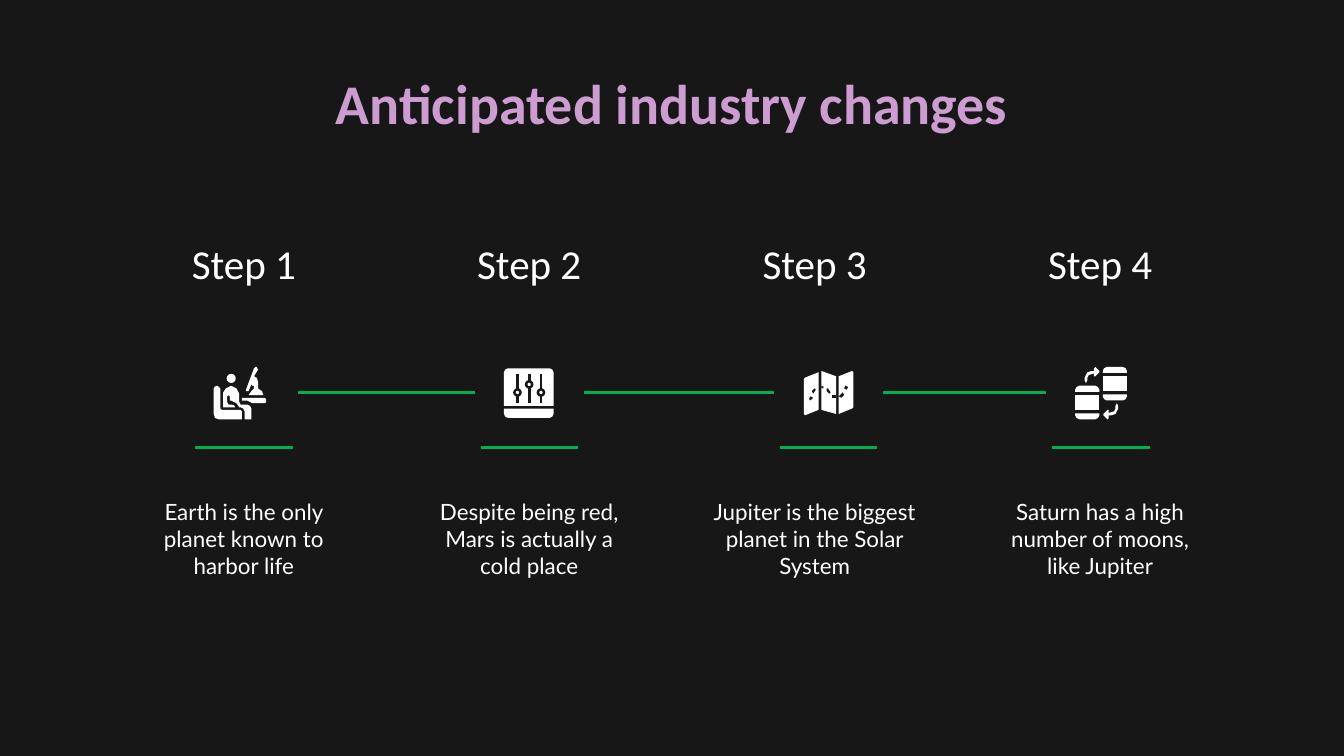
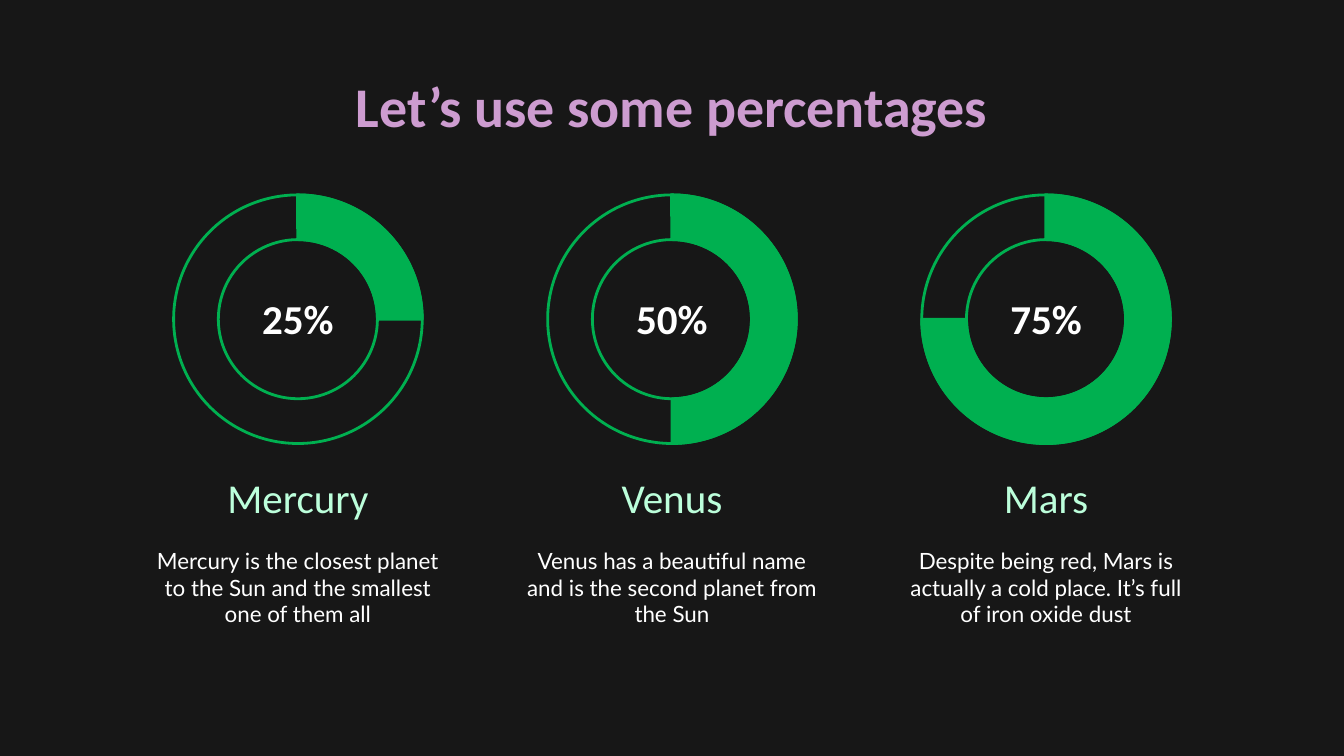
from lxml.etree import SubElement
from pptx import Presentation
from pptx.dml.color import RGBColor
from pptx.enum.shapes import MSO_CONNECTOR, MSO_SHAPE
from pptx.enum.text import MSO_ANCHOR, MSO_AUTO_SIZE, PP_ALIGN
from pptx.oxml.ns import qn
from pptx.util import Pt

COLORS = {
    "background": "171717",
    "white": "FFFFFF",
    "green": "00B050",
    "lilac": "CD9CD0",
    "mint": "BCFFDB",
    "sky": "9CCAED",
}
HEADING_FONT, BODY_FONT = "Calibri", "Lato"

ARROW = [(15, 0), (14, 1), (14, 3), (12, 3), (9, 4), (7, 8), (7, 10), (8, 12), (9, 10),
         (9, 8), (10, 6), (13, 5), (14, 5), (14, 7), (15, 7), (18, 4), (18, 3)]
BARREL = [
    [(0, 4.5), (0, 3), (1, 1), (3, 0), (15, 0), (17, 1), (18, 3), (18, 4.5)],
    [(0, 7), (18, 7), (18, 18), (0, 18)],
    [(0, 20.5), (18, 20.5), (18, 22), (17, 24), (15, 25), (3, 25), (1, 24), (0, 22)],
]


def moved(points, dx, dy):
    return [(x + dx, y + dy) for x, y in points]


def ring(x, y, radius):
    return (x - radius, y - radius, 2 * radius)


STUDY_ICON = {
    "outlines": [
        [(0, 16), (1, 14.5), (3, 14), (5, 16), (5, 31), (6, 32), (20, 32), (21, 33),
         (21, 39), (4, 39), (1, 38), (0, 35)],
        [(13, 14), (9, 16), (7, 19), (7, 30), (16, 30), (15, 28.5), (13, 28), (11, 28),
         (10, 26), (10, 22), (11, 21), (12, 22), (12, 25), (13, 25), (17, 27), (19, 30),
         (20, 30), (22, 31), (23, 33), (23, 39), (28, 39), (28, 31), (27, 29), (25, 28),
         (20, 28), (19, 26), (19, 20), (17, 16)],
        [(31, 0), (30, 1), (24, 17), (24, 18), (26, 18), (28, 13), (29, 14), (30, 14),
         (30, 16), (28, 18), (26, 21), (37, 21), (36, 18), (33, 16), (33, 11), (32, 8),
         (30, 7), (33, 2), (32, 0)],
        [(21, 23), (21, 25), (25, 25), (29, 27), (38, 27), (39, 26), (39, 24), (38, 23)],
    ],
    "circles": [ring(13, 8.5, 3.4)],
}
KNOBS = [(10, 18), (18.7, 12), (27.5, 18)]
SLIDER_ICON = {
    "outlines": [
        [(0, 28), (0, 3), (1, 1), (3, 0), (34, 0), (36, 1), (37, 3), (37, 28)],
        [(0, 30), (37, 30), (37, 34), (36, 36), (34, 37), (3, 37), (1, 36), (0, 34)],
    ],
    "cuts": [[(x - 1, 4), (x + 1, 4), (x + 1, 26), (x - 1, 26)] for x, y in KNOBS],
    "cut_circles": [ring(x, y, 3.2) for x, y in KNOBS],
    "circles": [ring(x, y, 1.2) for x, y in KNOBS],
}
MAP_ICON = {
    "outlines": [
        [(11, 1), (1, 5), (0, 6), (0, 32), (1, 33), (11, 29)],
        [(13, 0), (24, 4), (24, 32), (13, 29)],
        [(26, 4), (36, 0), (37, 1), (37, 27), (36, 28), (26, 32)],
    ],
    "cuts": [
        [(8, 13), (9, 14), (7, 17), (6, 15)],
        [(5, 19), (7, 20), (5, 22), (4, 21)],
        [(13, 11), (15, 12), (14, 13), (13, 13)],
        [(17, 13), (18, 13), (20, 16), (19, 17), (17, 15)],
        [(24, 18), (24, 20), (21, 20), (21, 18)],
        [(29, 16), (30, 18), (28, 20), (26, 19)],
        [(31, 11), (33, 12), (32, 14), (30, 13)],
    ],
}
BARREL_ICON = {
    "outlines": [ARROW, [(39 - x, 39 - y) for x, y in ARROW]]
    + [moved(part, dx, dy) for dx, dy in ((0, 14), (20.5, 0)) for part in BARREL],
}

STEPS_TITLE = "Anticipated industry changes"
STEPS = [
    ("Step 1", "Earth is the only planet known to harbor life", 104.4, 114.5, 196.6, STUDY_ICON),
    ("Step 2", "Despite being red, Mars is actually a cold place", 257.6, 270, 197.3, SLIDER_ICON),
    ("Step 3", "Jupiter is the biggest planet in the Solar System", 417.6, 430.6, 198.7, MAP_ICON),
    ("Step 4", "Saturn has a high number of moons, like Jupiter", 563.6, 576, 196.6, BARREL_ICON),
]
PERCENT_TITLE = "Let’s use some percentages"
PLANETS = [
    ("Mercury", 25, "Mercury is the closest planet to the Sun and the smallest one of them all"),
    ("Venus", 50, "Venus has a beautiful name and is the second planet from the Sun"),
    ("Mars", 75, "Despite being red, Mars is actually a cold place. It’s full of iron oxide dust"),
]

STEP_LEFT, STEP_PITCH, STEP_WIDTH = 66.2, 152.9, 128.9
UNDERLINE_WIDTH, LINK_GAP = 52.3, 3
LINK_TOP, UNDERLINE_TOP = 210.4, 239.6
ICON_UNIT = 0.72
PLANET_CENTER, PLANET_PITCH, PLANET_WIDTH = 159.6, 200.4, 171.4
DONUT_SIZE, DONUT_TOP = 133.2, 104.4


def rgb(name):
    return RGBColor.from_string(COLORS[name])


def write(shape, text, size=12, font=BODY_FONT, color="white", fade=None,
          bold=False, anchor=MSO_ANCHOR.TOP):
    frame = shape.text_frame
    frame.word_wrap = True
    frame.auto_size = MSO_AUTO_SIZE.NONE
    frame.vertical_anchor = anchor
    frame.margin_left = frame.margin_right = Pt(7.2)
    frame.margin_top = frame.margin_bottom = Pt(7.2)
    paragraph = frame.paragraphs[0]
    paragraph.alignment = PP_ALIGN.CENTER
    run = paragraph.add_run()
    run.text = text
    run.font.size = Pt(size)
    run.font.name = font
    run.font.bold = bold
    if fade:
        run.font.fill.gradient()
        run.font.fill.gradient_angle = 0
        for stop, name in zip(run.font.fill.gradient_stops, (color, fade)):
            stop.color.rgb = rgb(name)
    else:
        run.font.color.rgb = rgb(color)


def add_text(slide, text, left, top, width, height, **style):
    box = slide.shapes.add_textbox(Pt(left), Pt(top), Pt(width), Pt(height))
    write(box, text, **style)


def add_titled_slide(presentation, title, top):
    slide = presentation.slides.add_slide(presentation.slide_layouts[5])
    placeholder = slide.shapes.title
    placeholder.left, placeholder.top = Pt(56.5), Pt(top)
    placeholder.width, placeholder.height = Pt(607), Pt(45.4)
    write(placeholder, title, size=30, font=HEADING_FONT, color="lilac", fade="sky", bold=True)
    return slide


def add_rule(slide, start, end, top):
    line = slide.shapes.add_connector(MSO_CONNECTOR.STRAIGHT, Pt(start), Pt(top), Pt(end), Pt(top))
    line.line.color.rgb = rgb("green")
    line.line.width = Pt(1.5)
    SubElement(line._element.spPr, qn("a:effectLst"))


def paint(shape, fill=None, line=None):
    shape.shadow.inherit = False
    if fill:
        shape.fill.solid()
        shape.fill.fore_color.rgb = rgb(fill)
    else:
        shape.fill.background()
    if line:
        shape.line.color.rgb = rgb(line)
        shape.line.width = Pt(1.5)
    else:
        shape.line.fill.background()


def add_outline(group, points, left, top, color):
    corners = [(Pt(left + x * ICON_UNIT), Pt(top + y * ICON_UNIT)) for x, y in points]
    builder = group.shapes.build_freeform(*corners[0])
    builder.add_line_segments(corners[1:], close=True)
    paint(builder.convert_to_shape(), color)


def add_circle(group, circle, left, top, color):
    x, y, size = (value * ICON_UNIT for value in circle)
    paint(group.shapes.add_shape(MSO_SHAPE.OVAL, Pt(left + x), Pt(top + y), Pt(size), Pt(size)), color)


def add_icon(slide, icon, left, top):
    group = slide.shapes.add_group_shape()
    for part, draw, color in (
        ("outlines", add_outline, "white"),
        ("cuts", add_outline, "background"),
        ("cut_circles", add_circle, "background"),
        ("circles", add_circle, "white"),
    ):
        for geometry in icon.get(part, []):
            draw(group, geometry, left, top, color)


def build_steps(presentation):
    slide = add_titled_slide(presentation, STEPS_TITLE, 29.5)
    previous_end = None
    for index, (name, detail, rule_left, icon_left, icon_top, icon) in enumerate(STEPS):
        left = STEP_LEFT + index * STEP_PITCH
        add_text(slide, name, left, 123.8, STEP_WIDTH, 37.4, size=22,
                 font=HEADING_FONT, anchor=MSO_ANCHOR.BOTTOM)
        add_text(slide, detail, left, 259.9, STEP_WIDTH, 64.1)
        if previous_end:
            add_rule(slide, previous_end + LINK_GAP, rule_left - LINK_GAP, LINK_TOP)
        previous_end = rule_left + UNDERLINE_WIDTH
        add_rule(slide, rule_left, previous_end, UNDERLINE_TOP)
        add_icon(slide, icon, icon_left, icon_top)


def add_gauge(slide, center, percent):
    box = (Pt(center - DONUT_SIZE / 2), Pt(DONUT_TOP), Pt(DONUT_SIZE), Pt(DONUT_SIZE))
    donut = slide.shapes.add_shape(MSO_SHAPE.DONUT, *box)
    donut.adjustments[0] = 0.18
    paint(donut, line="green")
    arc = slide.shapes.add_shape(MSO_SHAPE.BLOCK_ARC, *box)
    for index, value in enumerate(((100 - percent) * 2.16, 0.1, 0.18)):
        arc.adjustments[index] = value
    arc.rotation = 90
    arc._element.spPr.get_or_add_xfrm().set("flipH", "1")
    paint(arc, fill="green", line="green")


def build_percentages(presentation):
    slide = add_titled_slide(presentation, PERCENT_TITLE, 31)
    for index, (name, percent, detail) in enumerate(PLANETS):
        center = PLANET_CENTER + index * PLANET_PITCH
        left = center - PLANET_WIDTH / 2
        add_gauge(slide, center, percent)
        add_text(slide, f"{percent}%", center - 39, 154.8, 78, 31.7, size=22,
                 font=HEADING_FONT, bold=True, anchor=MSO_ANCHOR.MIDDLE)
        add_text(slide, name, left, 247, PLANET_WIDTH, 39.6, size=22, font=HEADING_FONT,
                 color="mint", fade="sky", anchor=MSO_ANCHOR.BOTTOM)
        add_text(slide, detail, left, 285.8, PLANET_WIDTH, 55.4)


def main():
    presentation = Presentation()
    presentation.slide_width, presentation.slide_height = Pt(720), Pt(405)
    background = presentation.slide_master.background.fill
    background.solid()
    background.fore_color.rgb = rgb("background")
    build_steps(presentation)
    build_percentages(presentation)
    presentation.save("out.pptx")


if __name__ == "__main__":
    main()
